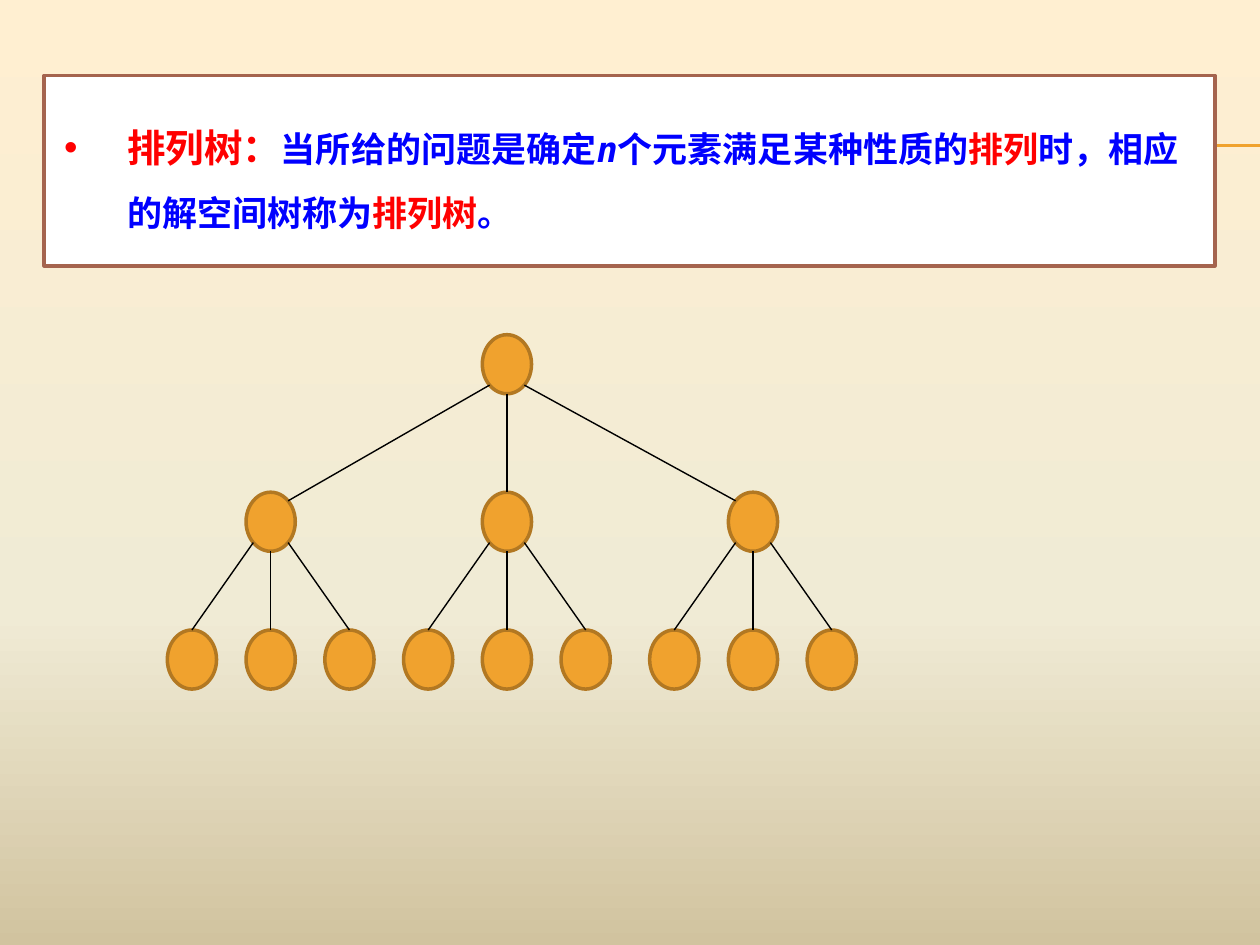
from copy import deepcopy

from lxml import etree
from pptx import Presentation
from pptx import util as u
from pptx.dml import color
from pptx.enum import shapes, text
from pptx.oxml import ns

MONO, SANS = "DejaVu Sans Mono", "Noto Sans CJK SC"
RED, BLUE, ORANGE = "FF0000", "0000FF", "F0A22E"
NODE_WIDTH, NODE_HEIGHT = 28.12, 33.75
ROOT_X, BRANCH_X, LEAF_GAP = 289.7, (154.7, 289.7, 430.3), 45
ROOT_TOP, BRANCH_TOP, LEAF_TOP = 191.25, 281.25, 360
SIDES = (-1, 0, 1)
DEFINITION = (
    ("排列树：", 22, MONO, RED, False),
    ("当所给的问题是确定", 20, MONO, BLUE, False),
    ("n", 20, MONO, BLUE, True),
    ("个元素满足某种性质的", 20, MONO, BLUE, False),
    ("排列", 20, SANS, RED, False),
    ("时，相应的解空间树称为", 20, MONO, BLUE, False),
    ("排列树", 20, MONO, RED, False),
    ("。", 20, MONO, BLUE, False),
)


def rgb(value):
    """Turn a hex string into a colour."""
    return color.RGBColor.from_string(value)


def paint_background(page):
    """Fill the page with a vertical gradient of three stops."""
    fill = page.background.fill
    fill.gradient()
    fill.gradient_angle = 270
    stops = page.element.find(".//" + ns.qn("a:gsLst"))
    stops.append(deepcopy(stops[-1]))
    colors = ((0, "FFEFD1"), (0.65, "EBD5"), (1, "D1C39F"))
    colors = (colors[0], (0.65, "F0EBD5"), colors[2])
    for stop, (position, value) in zip(fill.gradient_stops, colors):
        stop.position = position
        stop.color.rgb = rgb(value)


def add_line(page, start, end, line_color, width):
    """Draw a straight line without shadow."""
    points = [u.Pt(value) for value in (*start, *end)]
    line = page.shapes.add_connector(shapes.MSO_CONNECTOR.STRAIGHT, *points)
    line.line.color.rgb = rgb(line_color)
    line.line.width = u.Pt(width)
    etree.SubElement(line.element.spPr, ns.qn("a:effectLst"))


def add_outlined(page, kind, bounds, fill, line_color):
    """Add a filled preset shape with a two point outline."""
    shape = page.shapes.add_shape(kind, *(u.Pt(value) for value in bounds))
    shape.shadow.inherit = False
    shape.fill.solid()
    shape.fill.fore_color.rgb = rgb(fill)
    shape.line.color.rgb = rgb(line_color)
    shape.line.width = u.Pt(2)
    return shape


def add_span(para, wording, size, font, font_color, italic):
    """Append one bold run to the paragraph."""
    span = para.add_run()
    span.text = wording
    span.font.size = u.Pt(size)
    span.font.name = font
    span.font.bold = True
    span.font.italic = italic
    span.font.color.rgb = rgb(font_color)
    properties = span.font._element
    etree.SubElement(properties, ns.qn("a:ea"), typeface=font)


def add_definition(page):
    """Add the framed definition with its bullet."""
    box = add_outlined(page, shapes.MSO_SHAPE.RECTANGLE,
                       (25.2, 43.2, 669, 108.7), "FFFFFF", "A5644E")
    frame = box.text_frame
    frame.word_wrap = True
    frame.vertical_anchor = text.MSO_ANCHOR.TOP
    frame.margin_left = frame.margin_right = u.Pt(11.5)
    frame.margin_top = frame.margin_bottom = u.Pt(14.4)
    para = frame.paragraphs[0]
    para.alignment = text.PP_ALIGN.LEFT
    para.line_spacing = 1.5
    properties = para._p.get_or_add_pPr()
    properties.set("marL", str(u.Pt(36)))
    properties.set("indent", str(u.Pt(-36)))
    etree.SubElement(properties, ns.qn("a:buFont"), typeface="Arial")
    etree.SubElement(properties, ns.qn("a:buChar"), char="•")
    for item in DEFINITION:
        add_span(para, *item)


def add_node(page, center, top):
    """Add one tree node centred on the given abscissa."""
    bounds = (center - NODE_WIDTH / 2, top, NODE_WIDTH, NODE_HEIGHT)
    add_outlined(page, shapes.MSO_SHAPE.OVAL, bounds, ORANGE, "B27822")


def rim(center, top, across, down):
    """Find the point of a node's rim in the given direction."""
    scale = 0.5 / (across ** 2 + down ** 2) ** 0.5
    return (center + across * scale * NODE_WIDTH,
            top + NODE_HEIGHT / 2 + down * scale * NODE_HEIGHT)


def add_edge(page, parent, child, side, child_side):
    """Join the lower rim of a parent to the upper rim of a child."""
    add_line(page, rim(*parent, side, 1), rim(*child, child_side, -1),
             "000000", 0.79)


def add_tree(page):
    """Draw the root, its branches and their leaves."""
    root = (ROOT_X, ROOT_TOP)
    add_node(page, *root)
    for side, center in zip(SIDES, BRANCH_X):
        branch = (center, BRANCH_TOP)
        add_node(page, *branch)
        add_edge(page, root, branch, side, -side)
        for leaf_side in SIDES:
            leaf = (center + leaf_side * LEAF_GAP, LEAF_TOP)
            add_node(page, *leaf)
            add_edge(page, branch, leaf, leaf_side, 0)


def main():
    """Build the slide and save it."""
    deck = Presentation()
    deck.slide_width, deck.slide_height = u.Pt(720), u.Pt(540)
    page = deck.slides.add_slide(deck.slide_layouts[6])
    paint_background(page)
    for height in (82.8, 83.5):
        add_line(page, (40.3, height), (720, height), ORANGE, 0.75)
    add_definition(page)
    add_tree(page)
    deck.save("out.pptx")


if __name__ == "__main__":
    main()
